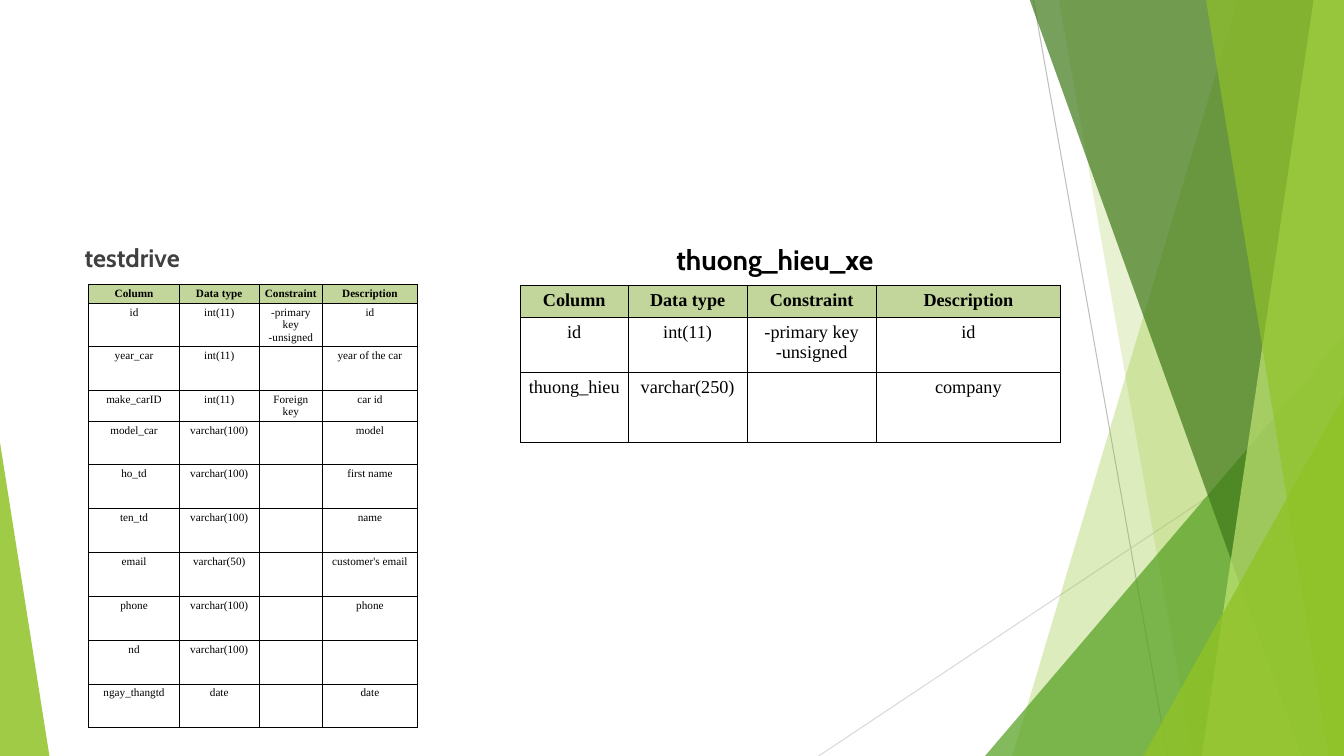
"""Build a slide with the column lists of two database tables beside green facets."""
from dataclasses import dataclass

from lxml.etree import SubElement
from pptx import Presentation
from pptx.dml.color import RGBColor as RGB
from pptx.enum.shapes import MSO_CONNECTOR as CONN, MSO_SHAPE as SHAPE
from pptx.enum.text import MSO_AUTO_SIZE as FIT, PP_ALIGN as ALIGN
from pptx.oxml.ns import qn
from pptx.util import Inches, Pt


@dataclass(frozen=True)
class Theme:
    head_font: str = "Cabin"
    body_font: str = "Times New Roman"
    small: int = 8
    medium: int = 13
    heading: int = 18
    big_heading: int = 20
    ink: str = "000000"
    grey: str = "404040"
    header: str = "C2D69B"
    paper: str = "FFFFFF"
    lime: str = "90C226"
    leaf: str = "54A021"
    forest: str = "3F7819"
    pale: str = "C0E474"
    hairline: float = 0.75
    border: float = 0.5


T = Theme()
W, H = 13.33, 7.5
FACET_TOP = -0.01

HEADER = ("Column", "Data type", "Constraint", "Description")
TESTDRIVE = [
    HEADER,
    ("id", "int(11)", "-primary key\n-unsigned", "id"),
    ("year_car", "int(11)", "", "year of the car"),
    ("make_carID", "int(11)", "Foreign key", "car id"),
    ("model_car", "varchar(100)", "", "model"),
    ("ho_td", "varchar(100)", "", "first name"),
    ("ten_td", "varchar(100)", "", "name"),
    ("email", "varchar(50)", "", "customer's email"),
    ("phone", "varchar(100)", "", "phone"),
    ("nd", "varchar(100)", "", ""),
    ("ngay_thangtd", "date", "", "date"),
]
BRANDS = [
    HEADER,
    ("id", "int(11)", "-primary key\n-unsigned", "id"),
    ("thuong_hieu", "varchar(250)", "", "company"),
]

TABLES = [
    dict(rows=TESTDRIVE, left=0.88, top=2.82, widths=(0.9, 0.79, 0.63, 0.94),
         heights=[0.19, 0.43, 0.43, 0.18] + [0.435] * 7, size=T.small, inset=(0.05, 0.03)),
    dict(rows=BRANDS, left=5.16, top=2.83, widths=(1.07, 1.18, 1.28, 1.83),
         heights=[0.32, 0.54, 0.7], size=T.medium, inset=(0.07, 0.05)),
]
HEADINGS = [
    dict(text="testdrive", box=(0.74, 2.36, 9.4, 4.24), wrap=True, fit=FIT.NONE,
         size=T.heading, color=T.grey, align=ALIGN.LEFT),
    dict(text="thuong_hieu_xe", box=(6.61, 2.36, 2.33, 0.44), wrap=False, fit=FIT.SHAPE_TO_FIT_TEXT,
         size=T.big_heading, color=T.ink, align=ALIGN.JUSTIFY),
]

RAYS = [((10.25, 0), (11.58, H), "BFBFBF"), ((W, 4.03), (8.12, H), "D9D9D9")]
FACETS = [
    ("band", 12.28, 10.04, T.lime, 30),
    ("band", 10.5, 11.83, T.lime, 20),
    ("triangle", (9.77, 3.33, 3.56, 4.17), 1, T.leaf, 72),
    ("band", 10.21, 12.91, T.forest, 70),
    ("band", 13.03, 11.92, T.pale, 70),
    ("band", 11.96, 13.18, T.lime, 65),
    ("triangle", (11.34, 3.93, 1.99, 3.57), 1, T.lime, 80),
    ("triangle", (0, 4.39, 0.49, 3.11), 0, T.lime, 85),
]


def write(tf, text, *, size, font, color, bold=False, align=ALIGN.CENTER):
    for i, line in enumerate(text.split("\n")):
        p = tf.add_paragraph() if i else tf.paragraphs[0]
        p.alignment = align
        r = p.add_run()
        r.text = line
        r.font.size, r.font.name, r.font.bold = Pt(size), font, bold
        r.font.color.rgb = RGB.from_string(color)


def add_ray(s, start, end, color):
    ray = s.shapes.add_connector(CONN.STRAIGHT, *map(Inches, start + end))
    ray.line.color.rgb = RGB.from_string(color)
    ray.line.width = Pt(T.hairline)
    SubElement(ray._element.spPr, qn("a:effectLst"))


def add_facet(s, kind, place, edge, color, opacity):
    if kind == "band":
        fb = s.shapes.build_freeform(Inches(place), Inches(FACET_TOP))
        corners = [(W, FACET_TOP), (W, H), (edge, H)]
        fb.add_line_segments([(Inches(x), Inches(y)) for x, y in corners], close=True)
        sp = fb.convert_to_shape()
    else:
        sp = s.shapes.add_shape(SHAPE.ISOSCELES_TRIANGLE, *map(Inches, place))
        sp.adjustments[0] = edge
    sp.shadow.inherit = False
    sp.line.fill.background()
    sp.fill.solid()
    sp.fill.fore_color.rgb = RGB.from_string(color)
    clr = sp._element.spPr.find(qn("a:solidFill"))[0]
    SubElement(clr, qn("a:alpha"), val=str(opacity * 1000))


def add_heading(s, text, box, wrap, fit, **fmt):
    tf = s.shapes.add_textbox(*map(Inches, box)).text_frame
    tf.word_wrap, tf.auto_size = wrap, fit
    write(tf, text, font=T.head_font, bold=True, **fmt)


def frame_cell(cell, fill, inset):
    cell.margin_left = cell.margin_right = Inches(inset[0])
    cell.margin_top = cell.margin_bottom = Inches(inset[1])
    tc_pr = cell._tc.get_or_add_tcPr()
    for side in ("lnL", "lnR", "lnT", "lnB"):
        ln = SubElement(tc_pr, qn(f"a:{side}"), w=str(Pt(T.border)))
        SubElement(SubElement(ln, qn("a:solidFill")), qn("a:srgbClr"), val=T.ink)
    cell.fill.solid()
    cell.fill.fore_color.rgb = RGB.from_string(fill)


def add_column_list(s, rows, left, top, widths, heights, size, inset):
    box = (left, top, sum(widths), sum(heights))
    table = s.shapes.add_table(len(rows), len(widths), *map(Inches, box)).table
    for col, width in zip(table.columns, widths):
        col.width = Inches(width)
    for i, (row, height) in enumerate(zip(rows, heights)):
        table.rows[i].height = Inches(height)
        for j, text in enumerate(row):
            cell = table.cell(i, j)
            frame_cell(cell, T.paper if i else T.header, inset)
            if text:
                write(cell.text_frame, text, size=size, font=T.body_font, color=T.ink, bold=i == 0)


def main():
    prs = Presentation()
    prs.slide_width, prs.slide_height = Inches(W), Inches(H)
    s = prs.slides.add_slide(prs.slide_layouts[6])
    for ray in RAYS:
        add_ray(s, *ray)
    for facet in FACETS:
        add_facet(s, *facet)
    for heading, column_list in zip(HEADINGS, TABLES):
        add_heading(s, **heading)
        add_column_list(s, **column_list)
    prs.save("out.pptx")


if __name__ == "__main__":
    main()
